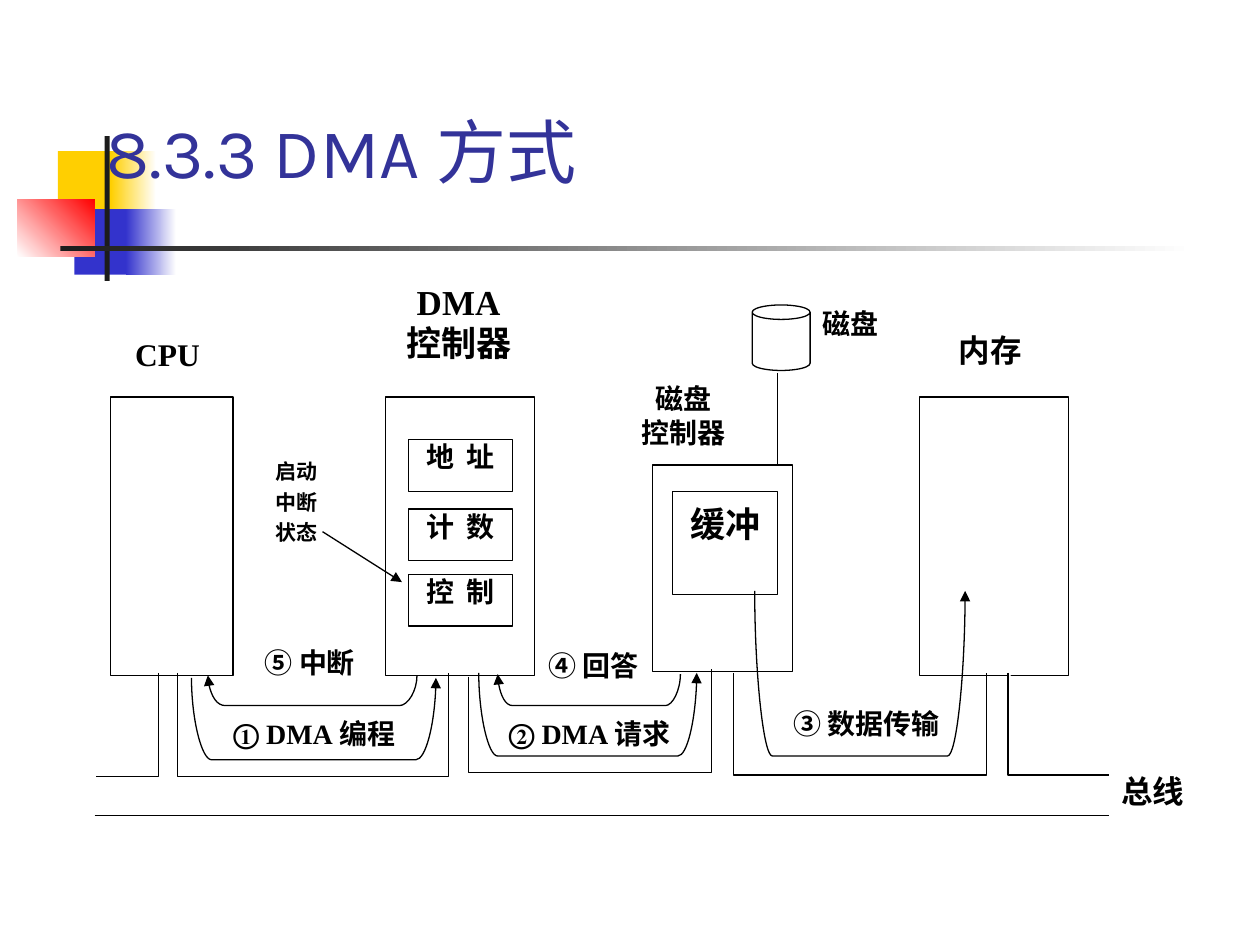
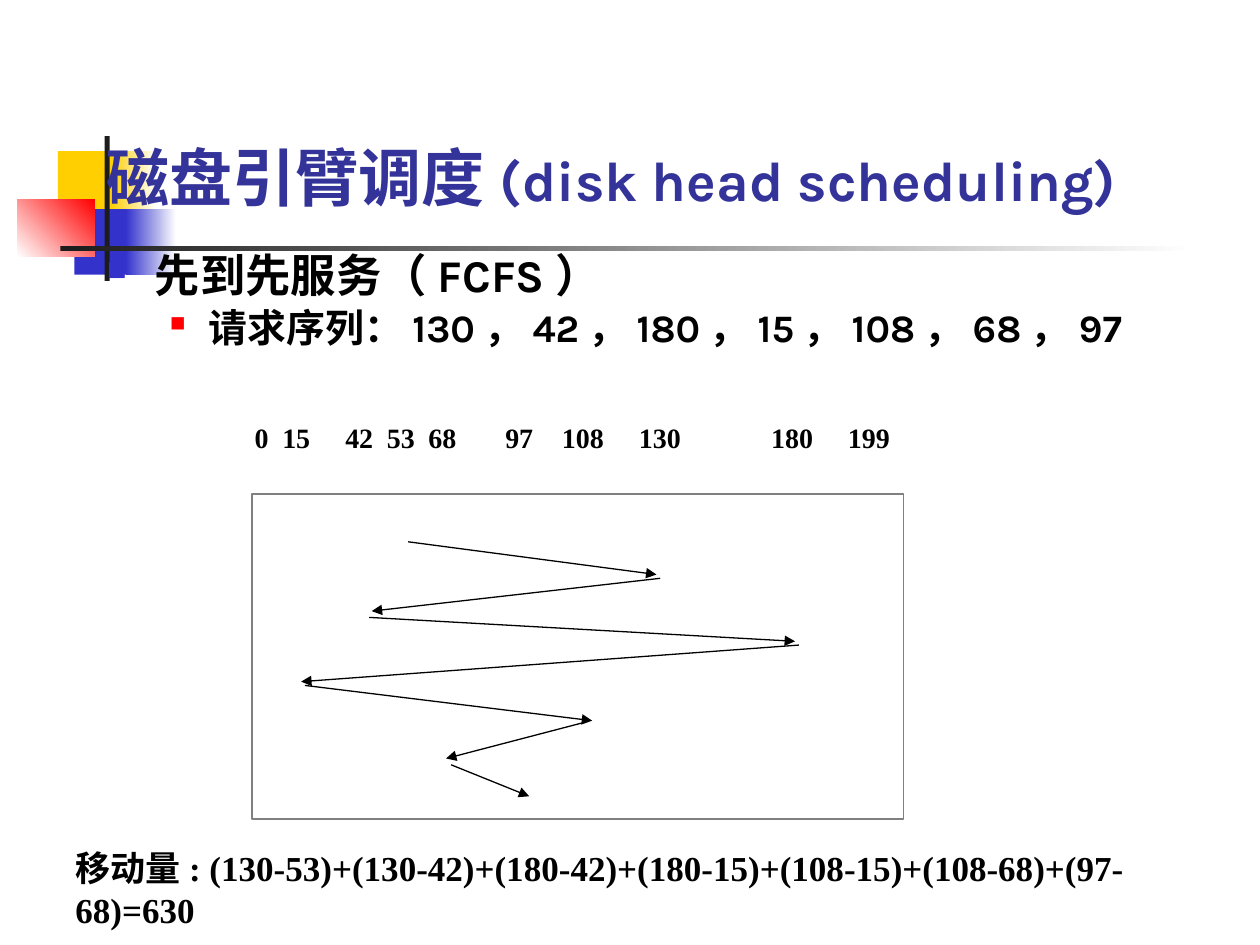
from dataclasses import dataclass

from lxml import etree
from pptx import Presentation
from pptx import util as u
from pptx.dml.color import RGBColor
from pptx.enum import shapes, text
from pptx.oxml import ns

Inches = u.Inches
Box = tuple[float, float, float, float]
Point = tuple[float, float]


@dataclass(frozen=True)
class Theme:
    heading_font: str = "Karla"
    diagram_font: str = "Times New Roman"
    title: str = "333399"
    ink: str = "000000"
    paper: str = "FFFFFF"
    yellow: str = "FFCF01"
    blue: str = "3333CC"
    red: str = "FF0000"
    rule: str = "1C1C1C"
    frame: str = "808080"
    line_width: float = 0.75
    title_size: float = 40
    long_title_size: float = 36
    subtitle_size: float = 32
    topic_size: float = 25.9
    detail_size: float = 22.2
    large: float = 20
    medium: float = 18
    small: float = 16
    note: float = 12


THEME = Theme()
CENTER, LEFT, JUSTIFY = text.PP_ALIGN.CENTER, text.PP_ALIGN.LEFT, text.PP_ALIGN.JUSTIFY
SNUG = (0.02, 0.01)
ROOMY = (0.1, 0.05)


@dataclass(frozen=True)
class Band:
    box: Box
    color: str
    fade_to: str = ""
    angle: int = 0


@dataclass(frozen=True)
class Label:
    lines: tuple[str, ...]
    box: Box
    size: float = THEME.small
    align: text.PP_ALIGN = CENTER
    margins: Point = SNUG
    font: str = THEME.diagram_font
    spacing: float | None = None
    space_before: float = 0
    fill: str = THEME.paper


@dataclass(frozen=True)
class BusSection:
    points: tuple[Point, ...]
    fill: str = THEME.paper


@dataclass(frozen=True)
class Arc:
    """A U-shaped path with rounded shoulders."""
    left: float
    right: float
    top: float
    bottom: float
    shoulder: float
    arrow_end: str = "tailEnd"
    fill: str = ""


BANDS = (
    Band((0.46, 1.2, 0.48, 0.52), THEME.yellow),
    Band((0.88, 1.2, 0.36, 0.52), THEME.yellow, THEME.paper),
    Band((0.59, 1.66, 0.46, 0.52), THEME.blue),
    Band((1, 1.66, 0.4, 0.52), THEME.blue, THEME.paper),
    Band((0.14, 1.58, 0.61, 0.46), THEME.paper, THEME.red, 45),
    Band((0.83, 1.08, 0.04, 1.15), THEME.rule),
    Band((0.48, 1.95, 9, 0.04), THEME.rule, THEME.paper),
)

LABELS = (
    Label(("③ 数据传输",), (6.24, 5.6, 1.27, 0.41), margins=(0, 0.01)),
    Label(("CPU",), (0.94, 2.65, 0.78, 0.43), THEME.medium),
    Label(("DMA", "控制器"), (3.19, 2.25, 0.9, 0.75), THEME.large, margins=(0.02, 0), spacing=0.96),
    Label(("内存",), (7.41, 2.62, 0.9, 0.46), THEME.medium),
    Label(("磁盘",), (6.51, 2.42, 0.61, 0.52), align=JUSTIFY),
    Label(("⑤ 中断",), (1.95, 5.11, 1.02, 0.4)),
    Label(("② DMA请求",), (3.95, 5.68, 1.46, 0.32)),
    Label(("总线",), (8.88, 6.12, 0.71, 0.55), THEME.medium, JUSTIFY, fill=""),
    Label(("磁盘", "控制器"), (5.02, 3.02, 0.81, 0.65)),
    Label(("④ 回答",), (4.26, 5.14, 0.9, 0.41)),
    Label(("① DMA编程",), (1.83, 5.68, 1.35, 0.32), align=JUSTIFY),
    Label(("启动", "中断", "状态"), (2.09, 3.59, 0.71, 0.79), THEME.note, LEFT, ROOMY,
          THEME.heading_font, space_before=3, fill=""),
)

BUS_SECTIONS = (
    BusSection(((1.26, 5.34), (1.26, 6.16), (0.76, 6.16))),
    BusSection(((1.41, 5.34), (1.41, 6.16), (3.56, 6.16), (3.56, 5.34))),
    BusSection(((3.72, 5.37), (3.72, 6.13), (5.65, 6.13), (5.65, 5.31))),
    BusSection(((5.82, 5.34), (5.82, 6.15), (7.83, 6.15), (7.83, 5.34)), fill=""),
    BusSection(((8, 5.34), (8, 6.15), (8.8, 6.15))),
)

PROGRAM_ARC = Arc(1.52, 3.46, 5.38, 6.03, 0.16, fill=THEME.paper)
INTERRUPT_ARC = Arc(1.65, 3.31, 5.36, 5.6, 0.14, "headEnd", THEME.paper)
REPLY_ARC = Arc(3.95, 5.4, 5.35, 5.6, 0.12, "headEnd", THEME.paper)
REQUEST_ARC = Arc(3.8, 5.53, 5.34, 6, 0.15)
TRANSFER_ARC = Arc(5.99, 7.66, 4.69, 6, 0.14)

TRACK_TABS = {"15": 0.22, "42": 0.72, "53": 1.05, "68": 1.38, "97": 1.99,
              "108": 2.44, "130": 3.05, "180": 4.1, "199": 4.71}
HEAD_MOVES = (
    ((3.24, 4.3), (5.21, 4.56)),
    ((5.24, 4.59), (2.95, 4.85)),
    ((2.93, 4.9), (6.31, 5.09)),
    ((6.34, 5.12), (2.39, 5.41)),
    ((2.42, 5.44), (4.7, 5.72)),
    ((4.65, 5.73), (3.54, 6.02)),
    ((3.58, 6.07), (4.2, 6.32)),
)


def rgb(color: str) -> RGBColor:
    return RGBColor.from_string(color)


def add_xml(parent, tag: str, **attributes: str):
    return etree.SubElement(parent, ns.qn(f"a:{tag}"), attributes)


def paint(shape, fill: str, outline: str = "") -> None:
    shape.shadow.inherit = False
    if fill:
        shape.fill.solid()
        shape.fill.fore_color.rgb = rgb(fill)
    else:
        shape.fill.background()
    if outline:
        stroke(shape.line, outline)
    else:
        shape.line.fill.background()


def stroke(line, color: str = THEME.ink) -> None:
    line.color.rgb = rgb(color)
    line.width = u.Pt(THEME.line_width)


def add_box(slide, box: Box, fill: str = "", outline: str = "",
            kind=shapes.MSO_SHAPE.RECTANGLE):
    shape = slide.shapes.add_shape(kind, *map(Inches, box))
    paint(shape, fill, outline)
    return shape


def add_line(slide, start: Point, end: Point, arrow: bool = False) -> None:
    connector = slide.shapes.add_connector(
        shapes.MSO_CONNECTOR.STRAIGHT, *map(Inches, start + end))
    stroke(connector.line)
    if arrow:
        add_xml(connector.line._get_or_add_ln(), "tailEnd", type="triangle")
    add_xml(connector._element.spPr, "effectLst")


def add_outline(slide, points, fill: str = ""):
    start, *rest = [(Inches(x), Inches(y)) for x, y in points]
    builder = slide.shapes.build_freeform(*start, scale=1.0)
    builder.add_line_segments(rest, close=False)
    shape = builder.convert_to_shape()
    paint(shape, fill, THEME.ink)
    return shape


def bend(segments) -> None:
    """Turn three straight segments into one Bézier curve through their points."""
    curve = etree.Element(ns.qn("a:cubicBezTo"))
    segments[0].addprevious(curve)
    for segment in segments:
        curve.append(segment[0])
        segment.getparent().remove(segment)


def add_arc(slide, arc: Arc) -> None:
    """Draw the arc on its side, then turn it upright."""
    middle = (arc.top + arc.bottom) / 2
    half = [(0, arc.top), (0, middle), (arc.shoulder / 2, arc.bottom), (arc.shoulder, arc.bottom)]
    upright = [(arc.left + across, y) for across, y in half]
    upright += [(arc.right - across, y) for across, y in reversed(half)]
    center = (arc.left + arc.right) / 2
    sideways = [(center + middle - y, middle + x - center) for x, y in upright]
    shape = add_outline(slide, sideways, arc.fill)
    shape.rotation = 270
    segments = list(shape._element.iter(ns.qn("a:lnTo")))
    bend(segments[:3])
    bend(segments[4:])
    add_xml(shape.line._get_or_add_ln(), arc.arrow_end, type="triangle")


def set_font(font, name: str, size: float | None, color: str = THEME.ink, bold: bool = True) -> None:
    font.name = name
    font.bold = bold
    font.color.rgb = rgb(color)
    if size:
        font.size = u.Pt(size)


def prepare_frame(shape, margins: Point = ROOMY, anchor=text.MSO_ANCHOR.TOP):
    frame = shape.text_frame
    frame.word_wrap = True
    frame.vertical_anchor = anchor
    frame.margin_left = frame.margin_right = Inches(margins[0])
    frame.margin_top = frame.margin_bottom = Inches(margins[1])
    return frame


def add_text_frame(slide, box: Box, margins: Point = ROOMY, anchor=text.MSO_ANCHOR.TOP):
    return prepare_frame(slide.shapes.add_textbox(*map(Inches, box)), margins, anchor)


def write_label(shape, label: Label) -> None:
    frame = prepare_frame(shape, label.margins)
    for index, line in enumerate(label.lines):
        paragraph = frame.add_paragraph() if index else frame.paragraphs[0]
        paragraph.text = line
        paragraph.alignment = label.align
        if label.spacing:
            paragraph.line_spacing = label.spacing
        if index and label.space_before:
            paragraph.space_before = u.Pt(label.space_before)
        set_font(paragraph.font, label.font, label.size)


def add_label(slide, label: Label) -> None:
    if label.fill:
        shape = add_box(slide, label.box, label.fill)
    else:
        shape = slide.shapes.add_textbox(*map(Inches, label.box))
    write_label(shape, label)


def add_base_slide(presentation, title_height: float, title_runs, bold: bool):
    slide = presentation.slides.add_slide(presentation.slide_layouts[6])
    for band in BANDS:
        shape = add_box(slide, band.box, band.color)
        if band.fade_to:
            shape.fill.gradient()
            shape.fill.gradient_angle = band.angle
            for stop, color in zip(shape.fill.gradient_stops, (band.color, band.fade_to)):
                stop.color.rgb = rgb(color)
    frame = add_text_frame(slide, (0.75, 0.5, 8.5, title_height), anchor=text.MSO_ANCHOR.BOTTOM)
    paragraph = frame.paragraphs[0]
    set_font(paragraph.font, THEME.heading_font, None, THEME.title, bold)
    for words, size in title_runs:
        run = paragraph.add_run()
        run.text = words
        run.font.size = u.Pt(size)
    return slide


def build_dma_slide(presentation) -> None:
    slide = add_base_slide(presentation, 1.08, [("8.3.3 DMA方式", THEME.title_size)], False)
    add_box(slide, (7.3, 3.15, 1.18, 2.21), THEME.paper, THEME.ink)
    for register, top in (("地 址", 3.49), ("计 数", 4.04), ("控 制", 4.56)):
        box = (3.24, top, 0.83, 0.41)
        shape = add_box(slide, box, THEME.paper, THEME.ink)
        write_label(shape, Label((register,), box, margins=(0.02, 0)))
        shape.text_frame.paragraphs[0].runs[0]._r.get_or_add_rPr().set("spc", "150")
    buffer_box = (5.34, 3.9, 0.83, 0.82)
    buffer = add_box(slide, buffer_box, THEME.paper, THEME.ink)
    write_label(buffer, Label(("缓冲",), buffer_box, THEME.large, margins=(0.02, 0.09)))
    add_box(slide, (5.97, 2.42, 0.46, 0.52), THEME.paper, THEME.ink, shapes.MSO_SHAPE.CAN)
    add_line(slide, (6.17, 2.96), (6.17, 3.69))
    for section in BUS_SECTIONS:
        add_outline(slide, section.points, section.fill)
    add_line(slide, (0.75, 6.47), (8.8, 6.47))
    for arc in (PROGRAM_ARC, INTERRUPT_ARC, REPLY_ARC):
        add_arc(slide, arc)
    for label in LABELS:
        add_label(slide, label)
    for arc in (REQUEST_ARC, TRANSFER_ARC):
        add_arc(slide, arc)
    for device in ((0.88, 3.15, 0.97, 2.21), (3.06, 3.15, 1.18, 2.21), (5.18, 3.69, 1.11, 1.64)):
        add_box(slide, device, outline=THEME.ink)
    add_line(slide, (2.56, 4.22), (3.19, 4.62), arrow=True)


def write_bullet(paragraph, words: str, size: float, indent: Point, color: str, percent: int) -> None:
    paragraph.text = words
    paragraph.line_spacing = 0.8
    properties = paragraph._p.get_or_add_pPr()
    properties.set("marL", str(Inches(indent[0])))
    properties.set("indent", str(Inches(indent[1])))
    add_xml(add_xml(properties, "buClr"), "srgbClr", val=color)
    add_xml(properties, "buSzPct", val=str(percent * 1000))
    add_xml(properties, "buChar", char="■")
    set_font(paragraph.font, THEME.heading_font, size)


def build_scheduling_slide(presentation) -> None:
    title = [("磁盘引臂调度", THEME.long_title_size), ("(disk head scheduling)", THEME.subtitle_size)]
    slide = add_base_slide(presentation, 1.25, title, True)
    body = add_text_frame(slide, (0.75, 2, 8.5, 1))
    write_bullet(body.paragraphs[0], "先到先服务（FCFS）", THEME.topic_size, (0.38, -0.38), THEME.blue, 60)
    requests = body.add_paragraph()
    requests.space_before = u.Pt(6)
    write_bullet(requests, "请求序列：130，42，180，15，108，68，97", THEME.detail_size,
                 (0.81, -0.31), THEME.red, 55)

    add_box(slide, (2, 3.92, 5.17, 2.58), outline=THEME.frame)
    tracks = add_text_frame(slide, (2, 3.34, 5.15, 0.52), (0.02, 0)).paragraphs[0]
    tracks.text = "\t".join(["0", *TRACK_TABS])
    tab_list = add_xml(tracks._p.get_or_add_pPr(), "tabLst")
    for position in TRACK_TABS.values():
        add_xml(tab_list, "tab", pos=str(Inches(position)), algn="l")
    set_font(tracks.font, THEME.diagram_font, THEME.small)
    for start, end in HEAD_MOVES:
        add_line(slide, start, end, arrow=True)

    total = "移动量: (130-53)+(130-42)+(180-42)+(180-15)+(108-15)+(108-68)+(97-68)=630"
    add_label(slide, Label((total,), (0.5, 6.67, 9.42, 0.77), THEME.large, LEFT, ROOMY, fill=""))


def main() -> None:
    presentation = Presentation()
    presentation.slide_width, presentation.slide_height = Inches(10), Inches(7.5)
    build_dma_slide(presentation)
    build_scheduling_slide(presentation)
    presentation.save("out.pptx")


if __name__ == "__main__":
    main()
